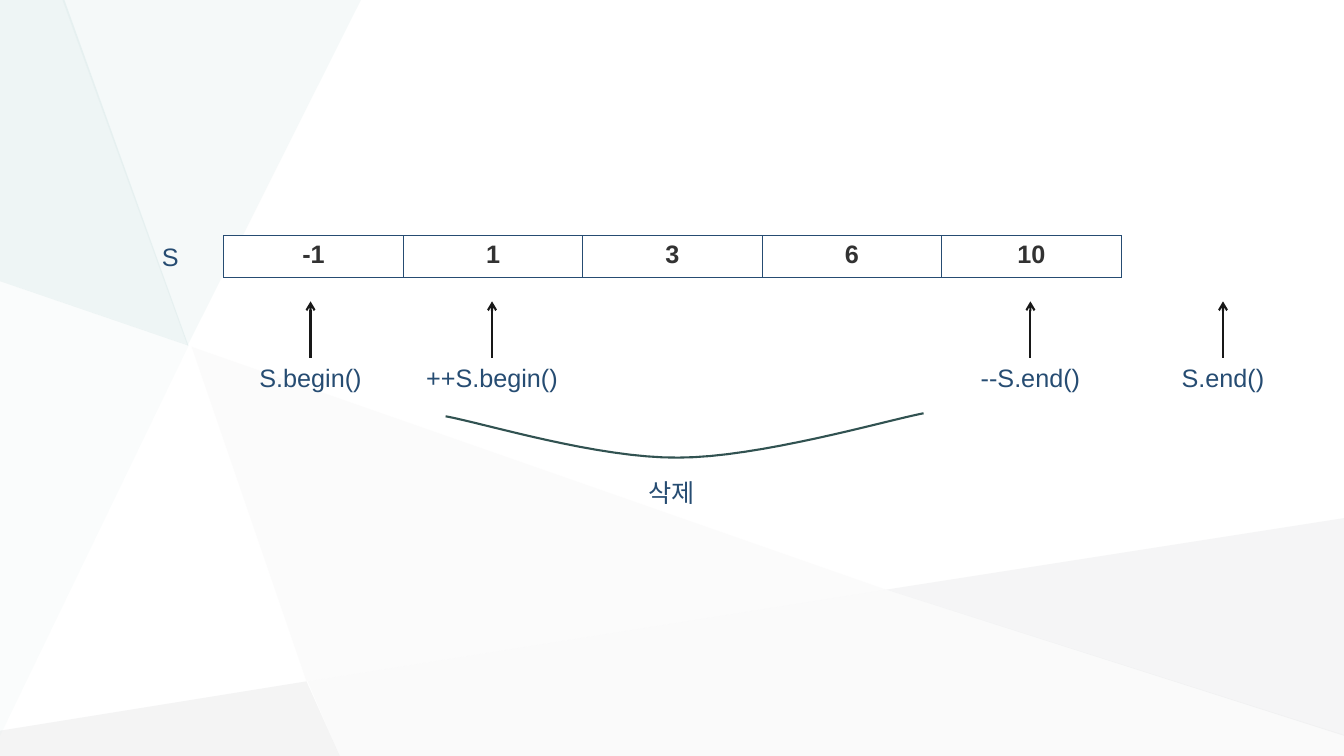
from pptx import Presentation
from pptx import util as u
from pptx.dml.color import RGBColor
from pptx.enum import shapes, text
from pptx.oxml import parse_xml
from pptx.oxml.ns import nsdecls, qn
from lxml import etree

WIDTH, HEIGHT = 13.33, 7.5
FONT = "Arial"
COLORS = {
    "navy": "264C72", "ink": "323232", "arrow": "181818", "curve": "315251",
    "white": "FFFFFF", "warm": "F3F2F2", "grey": "B6B8BA", "silver": "C6C8CA",
    "mist": "E0EDED", "teal": "C1DBDB",
}
FACETS = [
    ("warm", 26, [(1.9, 3.44), (3.04, 6.76), (8.79, 5.85)]),
    ("grey", 15, [(3.04, 6.76), (0, 7.25), (0, HEIGHT), (3.37, HEIGHT)]),
    ("mist", 31, [(3.58, 0), (0.62, 0), (1.86, 3.43)]),
    ("silver", 17, [(WIDTH, 5.14), (8.79, 5.85), (WIDTH, 7.3)]),
    ("grey", 6, [(8.79, 5.85), (3.05, 6.76), (3.37, HEIGHT), (WIDTH, HEIGHT), (WIDTH, 7.29)]),
    ("teal", 27, [(0.64, 0), (0, 0), (0, 2.79), (1.87, 3.43)]),
    ("teal", 8, [(0, 2.79), (0, 7.3), (1.87, 3.43)]),
]
VALUES = ["-1", "1", "3", "6", "10"]
POINTERS = [("S.begin()", 3.08), ("++S.begin()", 4.88), ("--S.end()", 10.22), ("S.end()", 12.13)]
NOTES = [("S", 1.69, 2.34), ("삭제", 6.66, 4.69)]
BRACE = [
    [(4.42, 4.13), (4.8, 4.2), (5.94, 4.55), (6.73, 4.54)],
    [(6.73, 4.54), (7.52, 4.54), (8.76, 4.18), (9.16, 4.1)],
]
TABLE_LEFT, TABLE_TOP, CELL_WIDTH, CELL_HEIGHT = 2.22, 2.34, 1.78, 0.41
ARROW_TOP, LABEL_TOP = 2.99, 3.55
LABEL_WIDTH, LABEL_HEIGHT = 1.6, 0.4
CURVE_STEPS = 16


def color(name):
    return RGBColor.from_string(COLORS[name])


def style(para, name, bold=False):
    para.alignment = text.PP_ALIGN.CENTER
    para.font.name, para.font.size, para.font.bold = FONT, u.Pt(18), bold
    para.font.color.rgb = color(name)


def add_outline(page, points, closed):
    corners = [(u.Inches(x), u.Inches(y)) for x, y in points]
    builder = page.shapes.build_freeform(*corners[0])
    builder.add_line_segments(corners[1:], close=closed)
    outline = builder.convert_to_shape()
    outline.shadow.inherit = False
    return outline


def add_facet(page, name, opacity, points):
    facet = add_outline(page, points, True)
    facet.fill.solid()
    facet.fill.fore_color.rgb = color(name)
    facet.line.fill.background()
    shade = facet.fill._xPr.find(qn("a:solidFill"))[0]
    etree.SubElement(shade, qn("a:alpha"), val=str(opacity * 1000))


def bezier(controls, t):
    weights = [(1 - t) ** 3, 3 * t * (1 - t) ** 2, 3 * t * t * (1 - t), t ** 3]
    return tuple(sum(w * p[axis] for w, p in zip(weights, controls)) for axis in (0, 1))


def add_brace(page):
    points = BRACE[0][:1] + [
        bezier(arc, step / CURVE_STEPS) for arc in BRACE for step in range(1, CURVE_STEPS + 1)]
    brace = add_outline(page, points, False)
    brace.fill.background()
    brace.line.color.rgb = color("curve")
    brace.line.width = u.Pt(1.5)


def add_label(page, words, center, top):
    box = page.shapes.add_textbox(u.Inches(center - LABEL_WIDTH / 2), u.Inches(top),
                                  u.Inches(LABEL_WIDTH), u.Inches(LABEL_HEIGHT))
    box.text_frame.word_wrap = True
    para = box.text_frame.paragraphs[0]
    para.text = words
    style(para, "navy")


def add_arrow(page, center):
    arrow = page.shapes.add_connector(shapes.MSO_CONNECTOR.STRAIGHT, u.Inches(center),
                                      u.Inches(LABEL_TOP), u.Inches(center), u.Inches(ARROW_TOP))
    arrow.line.color.rgb = color("arrow")
    arrow.line.width = u.Pt(1.5)
    etree.SubElement(arrow.line._get_or_add_ln(), qn("a:tailEnd"), type="arrow")
    etree.SubElement(arrow._element.spPr, qn("a:effectLst"))


def add_array(page):
    table = page.shapes.add_table(1, len(VALUES), u.Inches(TABLE_LEFT), u.Inches(TABLE_TOP),
                                  u.Inches(CELL_WIDTH * len(VALUES)), u.Inches(CELL_HEIGHT)).table
    table.first_row = table.horz_banding = False
    for cell, value in zip(table.rows[0].cells, VALUES):
        cell.text = value
        style(cell.text_frame.paragraphs[0], "ink", True)
        cell.fill.solid()
        cell.fill.fore_color.rgb = color("white")
        properties = cell._tc.get_or_add_tcPr()
        for index, side in enumerate("LRTB"):
            properties.insert(index, parse_xml(
                f'<a:ln{side} {nsdecls("a")} w="12700"><a:solidFill>'
                f'<a:srgbClr val="{COLORS["navy"]}"/></a:solidFill></a:ln{side}>'))


def main():
    deck = Presentation()
    deck.slide_width, deck.slide_height = u.Inches(WIDTH), u.Inches(HEIGHT)
    page = deck.slides.add_slide(deck.slide_layouts[6])
    for facet in FACETS:
        add_facet(page, *facet)
    add_array(page)
    for words, center in POINTERS:
        add_label(page, words, center, LABEL_TOP)
        add_arrow(page, center)
    add_brace(page)
    for note in NOTES:
        add_label(page, *note)
    deck.save("out.pptx")


if __name__ == "__main__":
    main()
